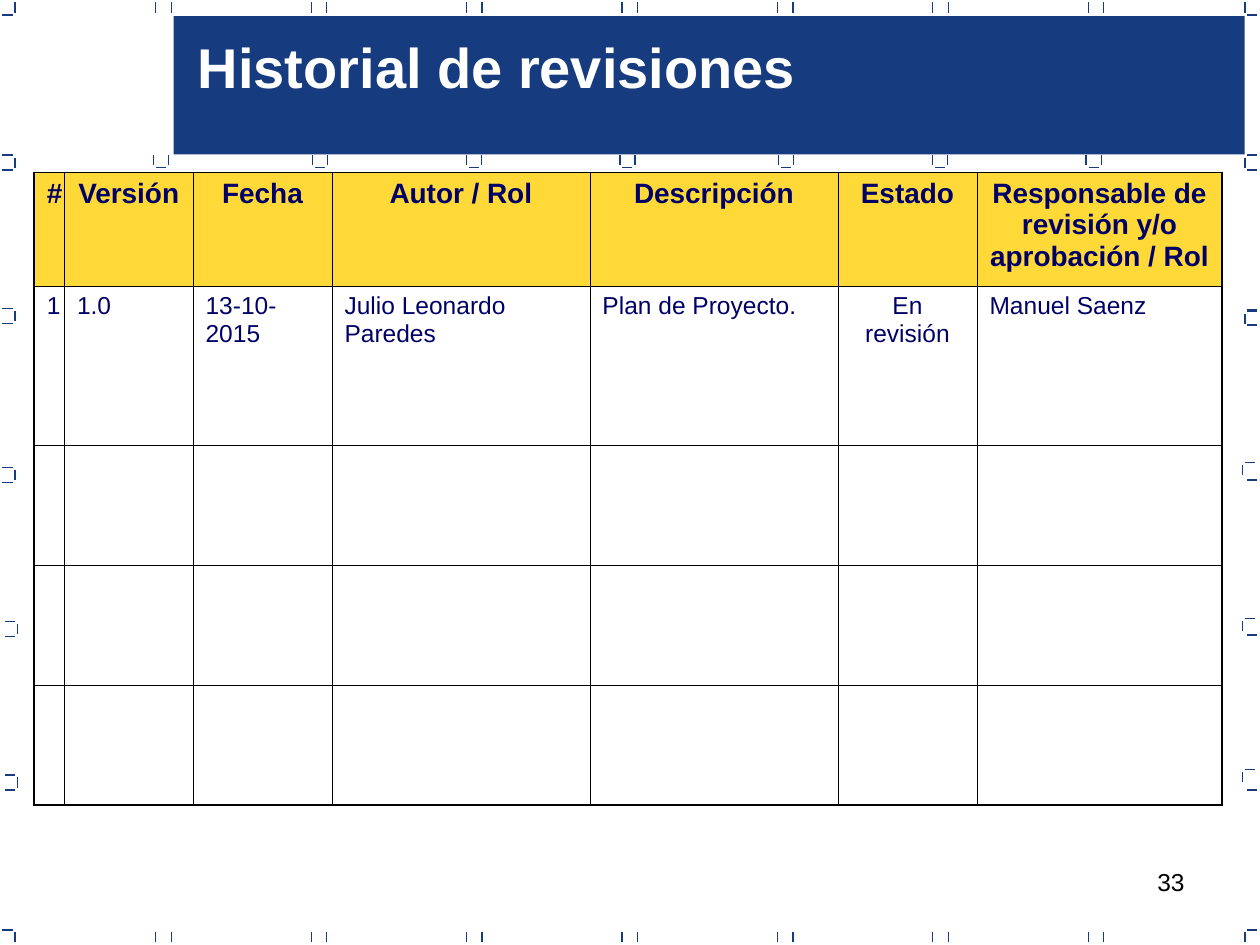
from lxml import etree
from pptx import Presentation
from pptx.dml.color import RGBColor
from pptx.enum.shapes import MSO_CONNECTOR, MSO_SHAPE
from pptx.enum.text import MSO_ANCHOR, PP_ALIGN
from pptx.oxml.ns import qn
from pptx.util import Pt

LEFT, CENTER, RIGHT = PP_ALIGN.LEFT, PP_ALIGN.CENTER, PP_ALIGN.RIGHT
TOP = MSO_ANCHOR.TOP
STRAIGHT = MSO_CONNECTOR.STRAIGHT
RECTANGLE = MSO_SHAPE.RECTANGLE

NAVY, YELLOW, INK = "163B7F", "FFD937", "000066"
BLACK, WHITE = "000000", "FFFFFF"
FONT = "Arial"

# Border marks: tick length, gap to the corner, and their half measures
TICK, GAP = 5.76, 1.44
HALF_TICK, HALF_MARK = TICK / 2, TICK / 2 + GAP
THIN, THICK = 0.45, 1.08


def color(hex_string):
    return RGBColor.from_string(hex_string)


class SlideBuilder:
    def __init__(self, slide):
        self.slide = slide
        self.shapes = slide.shapes

    def line(self, x1, y1, x2, y2):
        connector = self.shapes.add_connector(STRAIGHT, Pt(x1), Pt(y1), Pt(x2), Pt(y2))
        connector.line.color.rgb = color(NAVY)
        connector.line.width = Pt(0.75)
        etree.SubElement(connector._element.spPr, qn("a:effectLst"))

    def vertical_tick(self, x, center):
        self.line(x, center + HALF_TICK, x, center - HALF_TICK)

    def horizontal_tick(self, center, y):
        self.line(center - HALF_TICK, y, center + HALF_TICK, y)

    def side_mark(self, x, center, direction, upper=True, lower=True):
        """Vertical tick with horizontal ticks on its left (-1) or right (1)."""
        self.vertical_tick(x, center)
        for shown, y in ((upper, center - HALF_MARK), (lower, center + HALF_MARK)):
            if shown:
                self.horizontal_tick(x + direction * HALF_MARK, y)

    def cup(self, center, y):
        for x in (center - HALF_MARK, center + HALF_MARK):
            self.vertical_tick(x, y)
        self.horizontal_tick(center, y + HALF_MARK)

    def rectangle(self, left, top, width, height, fill):
        shape = self.shapes.add_shape(RECTANGLE, Pt(left), Pt(top), Pt(width), Pt(height))
        shape.shadow.inherit = False
        shape.fill.solid()
        shape.fill.fore_color.rgb = color(fill)
        shape.line.fill.background()

    def add_run(self, text_frame, text, size, ink, bold=False, alignment=LEFT):
        paragraph = text_frame.paragraphs[0]
        paragraph.alignment = alignment
        run = paragraph.add_run()
        run.text = text
        run.font.name = FONT
        run.font.size = Pt(size)
        run.font.bold = bold
        run.font.color.rgb = color(ink)

    def text(self, left, top, width, height, text, size, ink,
             bold=False, alignment=LEFT, wrap=True):
        box = self.shapes.add_textbox(Pt(left), Pt(top), Pt(width), Pt(height))
        box.text_frame.word_wrap = wrap
        self.add_run(box.text_frame, text, size, ink, bold, alignment)

    def borders(self, cell, widths):
        properties = cell._tc.get_or_add_tcPr()
        for index, (side, width) in enumerate(zip("LRTB", widths)):
            border = etree.Element(qn(f"a:ln{side}"), w=str(int(Pt(width))))
            fill = etree.SubElement(border, qn("a:solidFill"))
            etree.SubElement(fill, qn("a:srgbClr"), val=BLACK)
            properties.insert(index, border)

    def table(self, left, top, widths, heights, rows, centered):
        frame = self.shapes.add_table(len(heights), len(widths), Pt(left), Pt(top),
                                      Pt(sum(widths)), Pt(sum(heights)))
        table = frame.table
        table.first_row = table.horz_banding = False
        for column, width in zip(table.columns, widths):
            column.width = Pt(width)
        last_row, last_column = len(heights) - 1, len(widths) - 1
        for r, height in enumerate(heights):
            table.rows[r].height = Pt(height)
            for c in range(len(widths)):
                cell = table.cell(r, c)
                cell.vertical_anchor = TOP
                header = r == 0
                if header:
                    cell.fill.solid()
                    cell.fill.fore_color.rgb = color(YELLOW)
                else:
                    cell.fill.background()
                if r < len(rows):
                    alignment = CENTER if header or c in centered else LEFT
                    self.add_run(cell.text_frame, rows[r][c], 16 if header else 14,
                                 INK, header, alignment)
                outer = (c == 0, c == last_column, r == 0, r == last_row)
                self.borders(cell, [THICK if edge else THIN for edge in outer])


def main():
    presentation = Presentation()
    presentation.slide_width, presentation.slide_height = Pt(720), Pt(540)
    builder = SlideBuilder(presentation.slides.add_slide(presentation.slide_layouts[6]))

    # Page number
    builder.text(516.24, 491.76, 167.76, 37.44, "33", 14, BLACK, alignment=RIGHT)

    # Pairs of ticks along the top and bottom edges
    top_edge, bottom_edge = 4.32, 535.68
    for index in range(7):
        right = 97.92 + 88.8 * index
        for x in (right, right - 8.9):
            for y in (top_edge, bottom_edge):
                builder.vertical_tick(x, y)

    # Corner marks
    left_x, right_x = 8.64, 711.36
    for x, direction in ((left_x, -1), (right_x, 1)):
        builder.side_mark(x, top_edge, direction, upper=False)
        builder.side_mark(x, bottom_edge, direction, lower=False)

    # Marks down the left and right sides
    for x, y in ((left_x, 92.88), (left_x, 180.72), (left_x, 271.44),
                 (10.08, 359.28), (10.08, 447.12)):
        builder.side_mark(x, y, -1)
    builder.side_mark(right_x, 92.88, 1)
    for x, y in ((right_x, 182.16), (709.92, 268.56), (709.92, 357.84), (709.92, 444.24)):
        builder.side_mark(x, y, 1, lower=False)
    for y in (177.12, 185.76, 274.32, 362.88, 451.44):
        builder.horizontal_tick(right_x + HALF_MARK, y)

    # Title band with the marks below it
    builder.rectangle(99.2, 9.2, 612, 79, NAVY)
    for x in (92.16, 182.88, 270.72, 358.56, 449.28, 537.12, 624.96):
        builder.cup(x, 91.44)
    builder.text(106, 15.12, 356.4, 46.08, "Historial de revisiones", 32, WHITE,
                 bold=True, wrap=False)

    # Revision table
    rows = [
        ["#", "Versión", "Fecha", "Autor / Rol", "Descripción", "Estado",
         "Responsable de revisión y/o aprobación / Rol"],
        ["1", "1.0", "13-10-2015", "Julio Leonardo Paredes", "Plan de Proyecto.",
         "En revisión", "Manuel Saenz"],
    ]
    builder.table(19.6, 98.5, [17.2, 73.5, 79.4, 147.4, 141.8, 79.4, 140.1],
                  [65, 91, 68.5, 68.5, 68.5], rows, centered=(0, 5))

    presentation.save("out.pptx")


if __name__ == "__main__":
    main()
